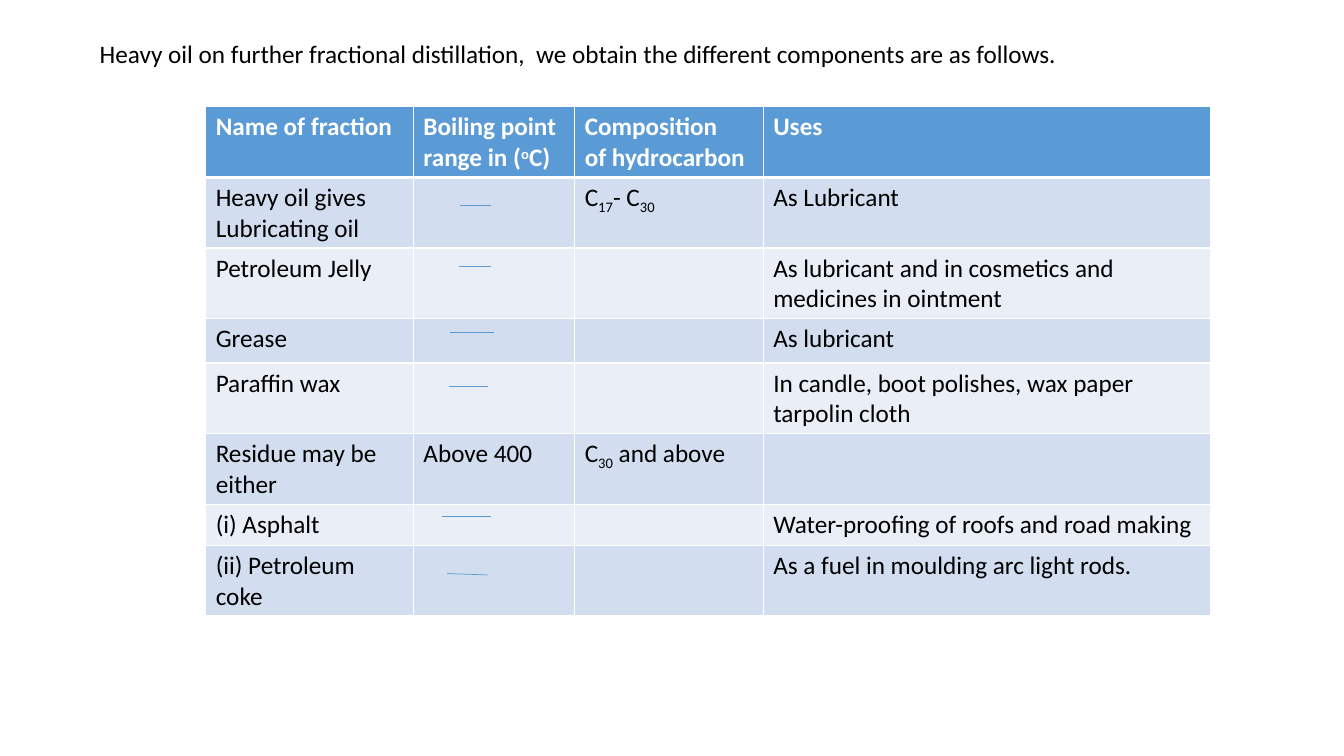
from dataclasses import dataclass
from itertools import accumulate
from lxml.etree import SubElement
from pptx import Presentation
from pptx.dml.color import RGBColor
from pptx.enum.shapes import MSO_CONNECTOR
from pptx.enum.text import MSO_AUTO_SIZE, PP_ALIGN
from pptx.oxml.ns import qn
from pptx.util import Inches, Pt


@dataclass(frozen=True)
class Theme:
    face: str = "Calibri"
    size: int = 18
    ink: str = "000000"
    white: str = "FFFFFF"
    blue: str = "5B9BD5"
    bands: tuple = ("D2DEEF", "EAEFF7")
    thin: float = 1
    thick: float = 3
    dash: float = 0.5


THEME = Theme()
LEAD = ("Heavy oil on further fractional distillation,  "
        "we obtain the different components are as follows.")
COLS = (2.06, 1.6, 1.87, 4.44)
ROWS = (0.7, 0.7, 0.7, 0.44, 0.7, 0.7, 0.41, 0.7)
CELLS = (
    ("Name of fraction", "Boiling point range in (|^o|C)",
     "Composition \nof hydrocarbon", "Uses"),
    ("Heavy oil gives\nLubricating oil", "", "C|_17|- C|_30", "As Lubricant"),
    ("Petroleum Jelly", "", "",
     "As lubricant and in cosmetics and medicines in ointment"),
    ("Grease", "", "", "As lubricant"),
    ("Paraffin wax", "", "",
     "In candle, boot polishes, wax paper tarpolin cloth"),
    ("Residue may be either", "Above 400", "C|_30| and above", ""),
    ("(i) Asphalt", "", "", "Water-proofing of roofs and road making"),
    ("(ii) Petroleum coke", "", "", "As a fuel in moulding arc light rods."),
)
SHIFT = {"^": "30000", "_": "-25000"}
# row: start x, end x, start y, end y, as shares of the cell
DASHES = {
    1: (0.29, 0.48, 0.4, 0.4),
    2: (0.28, 0.48, 0.26, 0.26),
    3: (0.23, 0.5, 0.32, 0.32),
    4: (0.22, 0.46, 0.34, 0.34),
    6: (0.18, 0.48, 0.3, 0.3),
    7: (0.21, 0.46, 0.4, 0.42),
}


def style(para, color, bold=False):
    font = para.font
    font.name, font.size, font.bold = THEME.face, Pt(THEME.size), bold
    font.color.rgb = RGBColor.from_string(color)


def write(frame, text, color, bold=False, align=PP_ALIGN.LEFT):
    for num, line in enumerate(text.split("\n")):
        para = frame.add_paragraph() if num else frame.paragraphs[0]
        para.alignment = align
        for part in line.split("|") if line else ():
            shift = SHIFT.get(part[0])
            run = para.add_run()
            run.text = part[1:] if shift else part
            if shift:
                run.font._element.set("baseline", shift)
        style(para, color, bold)


def edge(cell, side, width):
    line = SubElement(cell._tc.get_or_add_tcPr(), qn("a:ln" + side),
                      w=str(Pt(width)))
    fill = SubElement(line, qn("a:solidFill"))
    SubElement(fill, qn("a:srgbClr"), val=THEME.white)


def lead(slide, x, y, wide, high):
    box = slide.shapes.add_textbox(*map(Inches, (x, y, wide, high)))
    frame = box.text_frame
    frame.word_wrap = False
    frame.auto_size = MSO_AUTO_SIZE.SHAPE_TO_FIT_TEXT
    write(frame, LEAD, THEME.ink)


def grid(slide, x, y):
    size = map(Inches, (x, y, sum(COLS), sum(ROWS)))
    table = slide.shapes.add_table(len(ROWS), len(COLS), *size).table
    for col, wide in zip(table.columns, COLS):
        col.width = Inches(wide)
    for row, high in zip(table.rows, ROWS):
        row.height = Inches(high)
    for r, texts in enumerate(CELLS):
        head = r == 0
        for c, text in enumerate(texts):
            cell = table.cell(r, c)
            align = PP_ALIGN.JUSTIFY if head and c == 2 else PP_ALIGN.LEFT
            write(cell.text_frame, text, THEME.white if head else THEME.ink,
                  head, align)
            for side in "LRTB":
                heavy = (r, side) in ((0, "B"), (1, "T"))
                edge(cell, side, THEME.thick if heavy else THEME.thin)
            cell.fill.solid()
            tint = THEME.blue if head else THEME.bands[(r - 1) % 2]
            cell.fill.fore_color.rgb = RGBColor.from_string(tint)


def dashes(slide, x, y):
    left, wide = x + COLS[0], COLS[1]
    tops = list(accumulate(ROWS, initial=y))
    for row, (x1, x2, y1, y2) in DASHES.items():
        top, high = tops[row], ROWS[row]
        ends = (left + x1 * wide, top + y1 * high,
                left + x2 * wide, top + y2 * high)
        line = slide.shapes.add_connector(MSO_CONNECTOR.STRAIGHT,
                                          *map(Inches, ends))
        line.line.color.rgb = RGBColor.from_string(THEME.blue)
        line.line.width = Pt(THEME.dash)
        SubElement(line._element.spPr, qn("a:effectLst"))


def main():
    deck = Presentation()
    deck.slide_width, deck.slide_height = Inches(13.33), Inches(7.5)
    slide = deck.slides.add_slide(deck.slide_layouts[6])
    lead(slide, 0.89, 0.33, 9.81, 0.4)
    grid(slide, 2.04, 1.06)
    dashes(slide, 2.04, 1.06)
    deck.save("out.pptx")


if __name__ == "__main__":
    main()
